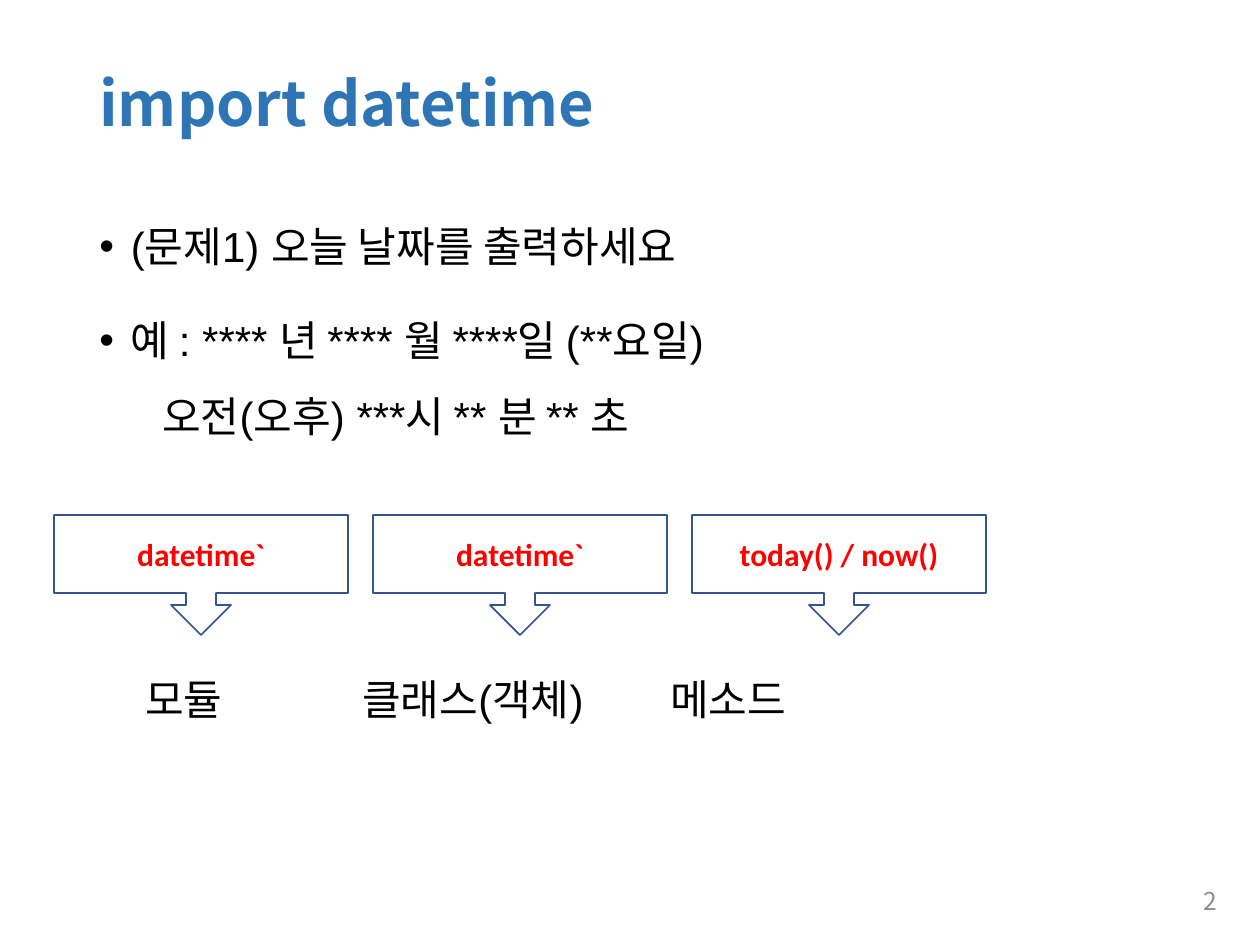
"""Build the slide that introduces the datetime module."""
from lxml.etree import SubElement
from pptx import Presentation
from pptx.dml.color import RGBColor
from pptx.enum.shapes import MSO_SHAPE
from pptx.enum.text import MSO_ANCHOR as ANCHOR, PP_ALIGN as ALIGN
from pptx.oxml.ns import qn
from pptx.util import Pt

SCALE = 914400 // 126
COLORS = {"title": "2E75B6", "body": "000000", "number": "8C8C8C",
          "outline": "325491", "callout": "FF0000"}


def add_text_box(left, top, width, height, anchor):
    box = slide.shapes.add_textbox(*(v * SCALE for v in (left, top, width, height)))
    box.text_frame.word_wrap = True
    box.text_frame.vertical_anchor = anchor
    return box.text_frame


def style(paragraph, name, size, color, bold=False):
    font = paragraph.font
    font.name, font.size, font.bold = name, Pt(size), bold
    font.color.rgb = RGBColor.from_string(COLORS[color])


presentation = Presentation()
presentation.slide_width = 1260 * SCALE
presentation.slide_height = 945 * SCALE
slide = presentation.slides.add_slide(presentation.slide_layouts[6])

title = add_text_box(87, 50, 1086, 113, ANCHOR.MIDDLE).paragraphs[0]
title.text = "import datetime"
title.line_spacing = 0.9
style(title, "Noto Sans CJK KR", 35, "title", True)

body = add_text_box(87, 189, 1086, 663, ANCHOR.TOP)
body_lines = [
    ("(문제1) 오늘 날짜를 출력하세요", 10, True),
    ("예 : **** 년 **** 월 ****일 (**요일)\v\t오전(오후) ***시 ** 분 ** 초", 10, True),
    ("\t모듈\t클래스(객체)\t메소드", 118, False),
]
for index, (text, space_before, bulleted) in enumerate(body_lines):
    paragraph = body.add_paragraph() if index else body.paragraphs[0]
    paragraph.text = text
    paragraph.line_spacing = 1.5
    paragraph.space_before = Pt(space_before)
    paragraph.space_after = Pt(0.5)
    properties = paragraph._p.get_or_add_pPr()
    if bulleted:
        properties.set("marL", str(Pt(18)))
        properties.set("indent", str(-Pt(18)))
        SubElement(properties, qn("a:buFont"), typeface="Arial")
        SubElement(properties, qn("a:buChar"), char="•")
    else:
        tabs = SubElement(properties, qn("a:tabLst"))
        for position in (46, 263, 571):
            SubElement(tabs, qn("a:tab"), pos=str(position * SCALE), algn="l")
    style(paragraph, "Arial", 24, "body")

number = add_text_box(945, 876, 284, 50, ANCHOR.MIDDLE).paragraphs[0]
number.text = "2"
number.alignment = ALIGN.RIGHT
style(number, "Noto Sans CJK KR", 14, "number")

for index, name in enumerate(("datetime`", "datetime`", "today() / now()")):
    left = 54 + index * 319
    callout = slide.shapes.add_shape(
        MSO_SHAPE.DOWN_ARROW_CALLOUT, left * SCALE, 515 * SCALE, 294 * SCALE, 120 * SCALE)
    callout.shadow.inherit = False
    callout.fill.background()
    callout.line.color.rgb = RGBColor.from_string(COLORS["outline"])
    callout.line.width = Pt(1)
    callout.text_frame.vertical_anchor = ANCHOR.MIDDLE
    paragraph = callout.text_frame.paragraphs[0]
    paragraph.text = name
    paragraph.alignment = ALIGN.CENTER
    style(paragraph, "Calibri", 18, "callout", True)

presentation.save("out.pptx")
